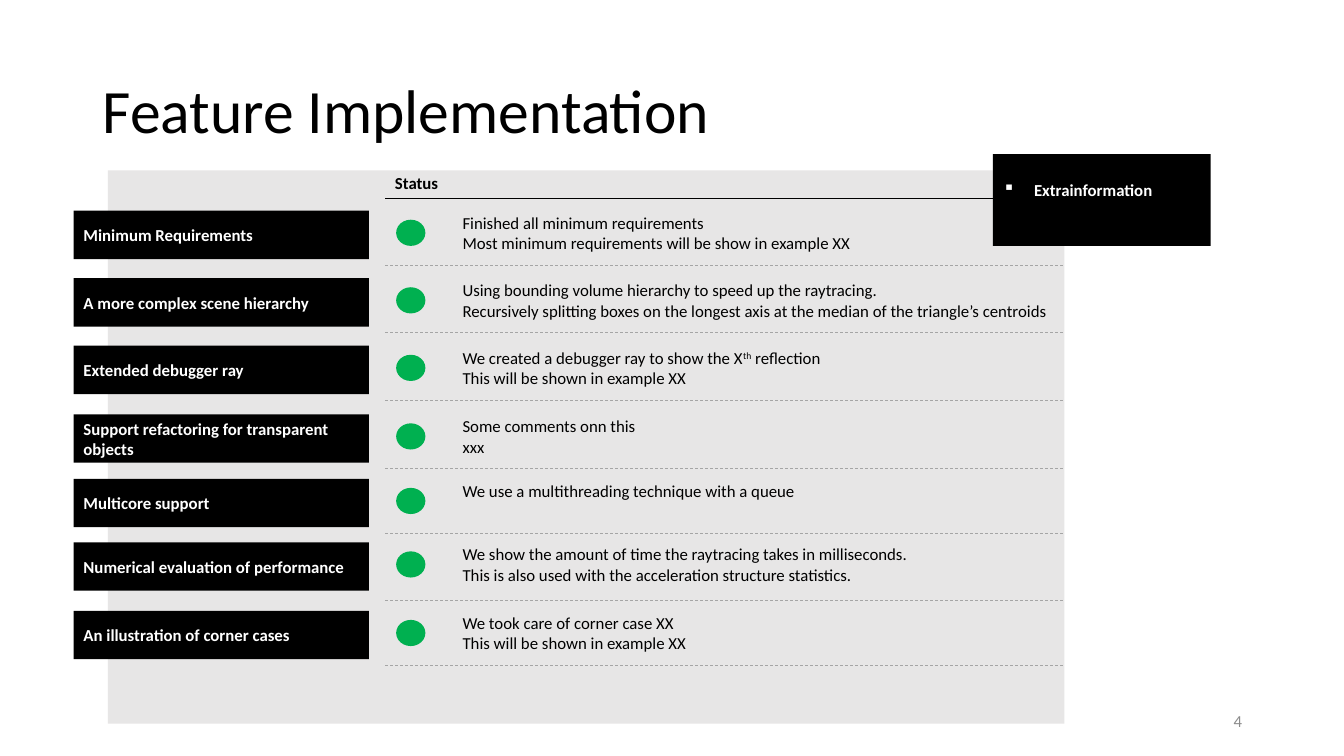
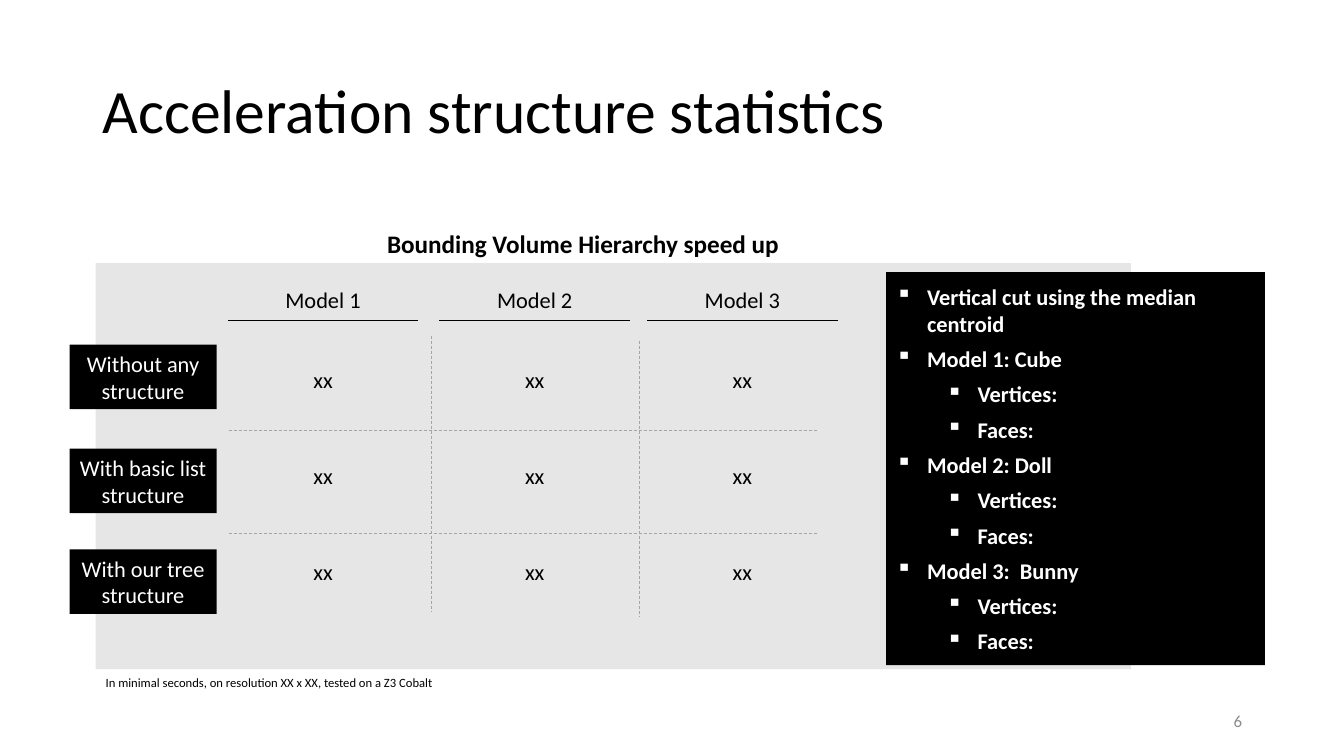
"""Builds two slides on the features and the acceleration statistics of a ray tracer."""
from dataclasses import dataclass, field, replace
from typing import NamedTuple

from lxml import etree
from pptx import Presentation
from pptx import util as u
from pptx.dml.color import RGBColor
from pptx.enum import dml, shapes, text
from pptx.oxml import ns

CELL = u.Inches(0.1)
COLUMNS, ROWS = 133.33, 75


@dataclass(frozen=True)
class Theme:
    """Colours, font and type sizes shared by the slides."""
    font: str = "Calibri"
    ink: str = "000000"
    paper: str = "FFFFFF"
    panel: str = "E7E6E6"
    done: str = "00B050"
    divider: str = "A5A5A5"
    muted: str = "8C8C8C"
    title: int = 44
    heading: int = 18
    body: int = 16
    small: int = 12
    note: int = 9


class Area(NamedTuple):
    """A place on the grid, in cells."""
    left: float
    top: float
    width: float
    height: float


class Item(NamedTuple):
    """A line of text with its bullet level; -1 means no bullet."""
    words: str
    level: int = -1


class Feature(NamedTuple):
    """One row of the feature list."""
    top: float
    label: str
    remarks: tuple[str, ...]
    rule: float = 5.4


@dataclass(frozen=True)
class Style:
    """How a text looks and sits in its frame."""
    color: str
    font: dict
    para: dict = field(default_factory=dict)
    frame: dict = field(default_factory=dict)


def cells(*lengths: float) -> list[int]:
    """Turn grid cells into slide units."""
    return [round(length * CELL) for length in lengths]


def type_of(size: int, bold: bool = False) -> dict:
    """Return the font values for a size and weight."""
    return {"name": THEME.font, "size": u.Pt(size), "bold": bold}


THEME = Theme()
LEFT = {"alignment": text.PP_ALIGN.LEFT}
CENTER = {"alignment": text.PP_ALIGN.CENTER}
RIGHT = {"alignment": text.PP_ALIGN.RIGHT}
MIDDLE = {"vertical_anchor": text.MSO_ANCHOR.MIDDLE}
TOP = {"vertical_anchor": text.MSO_ANCHOR.TOP}

TITLE = Style(THEME.ink, type_of(THEME.title), LEFT | {"line_spacing": 0.9}, MIDDLE)
NUMBER = Style(THEME.muted, type_of(THEME.small), RIGHT, MIDDLE)
REMARK = Style(THEME.ink, type_of(THEME.small), LEFT, TOP)
STATUS = replace(REMARK, font=type_of(THEME.small, True))
NOTE = replace(REMARK, font=type_of(THEME.note))
LABEL = Style(THEME.paper, type_of(THEME.small, True), LEFT, MIDDLE)
EXTRA = replace(LABEL, frame=TOP | {"margin_top": cells(2.5)[0]})
VALUE = Style(THEME.ink, type_of(THEME.body), CENTER, TOP)
HEADING = replace(VALUE, font=type_of(THEME.heading, True))
VARIANT = replace(VALUE, color=THEME.paper, frame=MIDDLE)
FACTS = Style(THEME.paper, type_of(THEME.body, True), LEFT | {"space_after": u.Pt(6)}, MIDDLE)

FEATURES = (
    Feature(20.9, "Minimum Requirements",
            ("Finished all minimum requirements",
             "Most minimum requirements will be show in example XX")),
    Feature(27.6, "A more complex scene hierarchy",
            ("Using bounding volume hierarchy to speed up the raytracing.",
             "Recursively splitting boxes on the longest axis at the median of the triangle’s centroids")),
    Feature(34.3, "Extended debugger ray",
            ("We created a debugger ray to show the X^th^ reflection",
             "This will be shown in example XX")),
    Feature(41.1, "Support refactoring for transparent objects",
            ("Some comments onn this", "xxx")),
    Feature(47.5, "Multicore support",
            ("We use a multithreading technique with a queue",)),
    Feature(53.8, "Numerical evaluation of performance",
            ("We show the amount of time the raytracing takes in milliseconds.",
             "This is also used with the acceleration structure statistics."), 5.8),
    Feature(60.6, "An illustration of corner cases",
            ("We took care of corner case XX", "This will be shown in example XX")),
)
MODELS = ((21.4, "Model 1"), (42.4, "Model 2"), (63, "Model 3"))
VARIANTS = ((34.2, "Without any structure"), (44.5, "With basic list structure"),
            (54.5, "With our tree structure"))
MODEL_FACTS = [Item("Vertical cut using the median centroid", 0)] + [
    item for model in ("Model 1: Cube", "Model 2: Doll", "Model 3:  Bunny")
    for item in (Item(model, 0), Item("Vertices:", 1), Item("Faces:", 1))]


def apply(target, values: dict) -> None:
    """Set each named value on the target."""
    for name, value in values.items():
        setattr(target, name, value)


def add_bullet(para, level: int) -> None:
    """Give a paragraph a square bullet and a hanging indent."""
    para.level = level
    props = para._p.get_or_add_pPr()
    margin, hang = cells(3.1 + 5 * level, -3.1)
    props.set("marL", str(margin))
    props.set("indent", str(hang))
    etree.SubElement(props, ns.qn("a:buChar")).set("char", "▪")


def write(box, items: list[Item], style: Style) -> None:
    """Fill a box with paragraphs; words between carets are raised."""
    frame = box.text_frame
    frame.word_wrap = True
    apply(frame, style.frame)
    for index, item in enumerate(items):
        para = frame.add_paragraph() if index else frame.paragraphs[0]
        apply(para, style.para)
        if item.level >= 0:
            add_bullet(para, item.level)
        for part, words in enumerate(item.words.split("^")):
            span = para.add_run()
            span.text = words
            apply(span.font, style.font)
            span.font.color.rgb = RGBColor.from_string(style.color)
            if part % 2:
                span._r.get_or_add_rPr().set("baseline", "30000")


def add_text(page, area: Area, style: Style, *lines: str) -> None:
    """Add a text box with one paragraph per line."""
    write(page.shapes.add_textbox(*cells(*area)), [Item(line) for line in lines], style)


def add_block(page, area: Area, fill: str, kind=shapes.MSO_SHAPE.RECTANGLE):
    """Add a plain filled shape without outline."""
    block = page.shapes.add_shape(kind, *cells(*area))
    block.shadow.inherit = False
    block.fill.solid()
    block.fill.fore_color.rgb = RGBColor.from_string(fill)
    block.line.fill.background()
    return block


def add_label(page, area: Area, style: Style, *items: Item) -> None:
    """Add a black block with text."""
    write(add_block(page, area, THEME.ink), list(items), style)


def add_rule(page, left: float, top: float, width: float = 0, height: float = 0,
             dashed: bool = False) -> None:
    """Add a solid heading rule or a dashed divider."""
    rule = page.shapes.add_connector(
        shapes.MSO_CONNECTOR.STRAIGHT, *cells(left, top, left + width, top + height))
    rule.line.color.rgb = RGBColor.from_string(THEME.divider if dashed else THEME.ink)
    rule.line.width = u.Pt(0.5 if dashed else 0.75)
    if dashed:
        rule.line.dash_style = dml.MSO_LINE.DASH
    etree.SubElement(rule._element.spPr, ns.qn("a:effectLst"))


def add_page(deck, title: str, number: str, panel: Area):
    """Add a slide with its title, page number and grey panel."""
    page = deck.slides.add_slide(deck.slide_layouts[6])
    add_text(page, Area(9.2, 4, 115, 14.5), TITLE, title)
    add_block(page, panel, THEME.panel)
    add_text(page, Area(94.2, 69.5, 30, 4), NUMBER, number)
    return page


def add_feature(page, feature: Feature) -> None:
    """Draw one feature with its label, status dot, remarks and divider."""
    top = feature.top
    add_rule(page, 38.2, top + feature.rule, width=67.4, dashed=True)
    add_label(page, Area(7.3, top, 29.3, 4.8), LABEL, Item(feature.label))
    add_text(page, Area(44.9, top - 0.3, 60.2, 5), REMARK, *feature.remarks)
    add_block(page, Area(39.3, top + 0.9, 2.9, 2.6), THEME.done, shapes.MSO_SHAPE.OVAL)


def build_features(deck) -> None:
    """Build the slide that lists the features."""
    page = add_page(deck, "Feature Implementation", "4", Area(10.7, 16.9, 94.9, 54.9))
    add_text(page, Area(38.2, 16.6, 65.4, 3), STATUS, "Status")
    add_rule(page, 38.2, 19.7, width=62.9)
    add_label(page, Area(98.5, 15.3, 21.6, 9.1), EXTRA, Item("Extrainformation", 0))
    for feature in FEATURES:
        add_feature(page, feature)


def build_statistics(deck) -> None:
    """Build the slide that compares the acceleration structures."""
    panel = Area(9.5, 26.1, 102.7, 40.3)
    page = add_page(deck, "Acceleration structure statistics", "6", panel)
    add_text(page, Area(34.5, 22.2, 46.7, 4), HEADING, "Bounding Volume Hierarchy speed up")
    for top, variant in VARIANTS:
        add_label(page, Area(6.9, top, 14.6, 6.4), VARIANT, Item(variant))
    for left, model in MODELS:
        add_text(page, Area(left, 27.9, 21.3, 3.7), VALUE, model)
        add_rule(page, left + 1.2, 31.8, width=18.9)
        for row in range(len(VARIANTS)):
            add_text(page, Area(left, 35.8 + 9.55 * row, 21.3, 3.7), VALUE, "xx")
    for top in (42.7, 52.9):
        add_rule(page, 22.7, top, width=58.5, dashed=True)
    for left, top in ((42.8, 33.3), (63.4, 33.8)):
        add_rule(page, left, top, height=27.4, dashed=True)
    add_label(page, Area(87.9, 27, 37.6, 39), FACTS, *MODEL_FACTS)
    add_text(page, Area(panel.left, 66.5, panel.width, 2.5), NOTE,
             "In minimal seconds, on resolution XX x XX, tested on a Z3 Cobalt")


def main() -> None:
    """Build and save the deck."""
    deck = Presentation()
    deck.slide_width, deck.slide_height = cells(COLUMNS, ROWS)
    build_features(deck)
    build_statistics(deck)
    deck.save("out.pptx")


if __name__ == "__main__":
    main()
